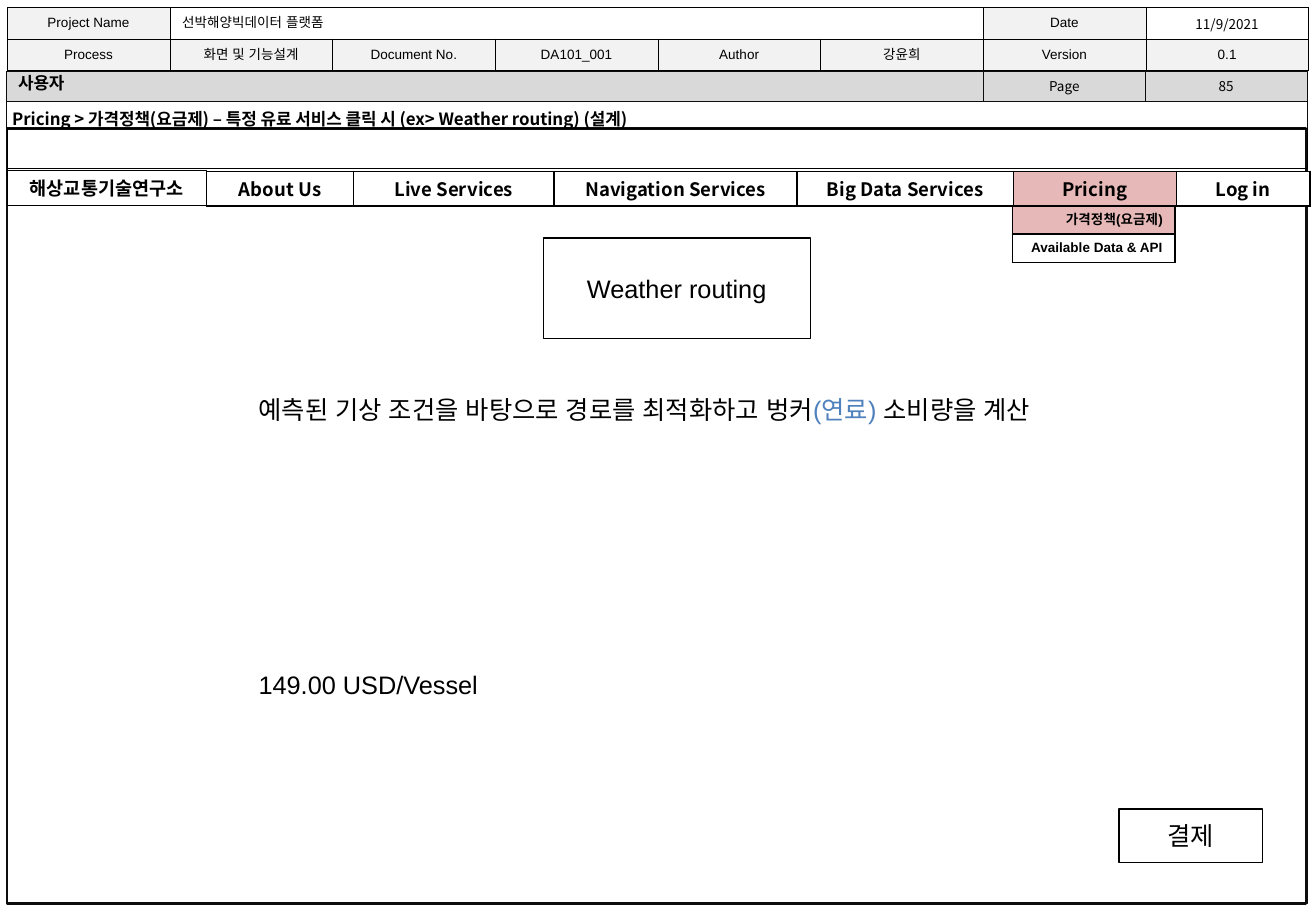
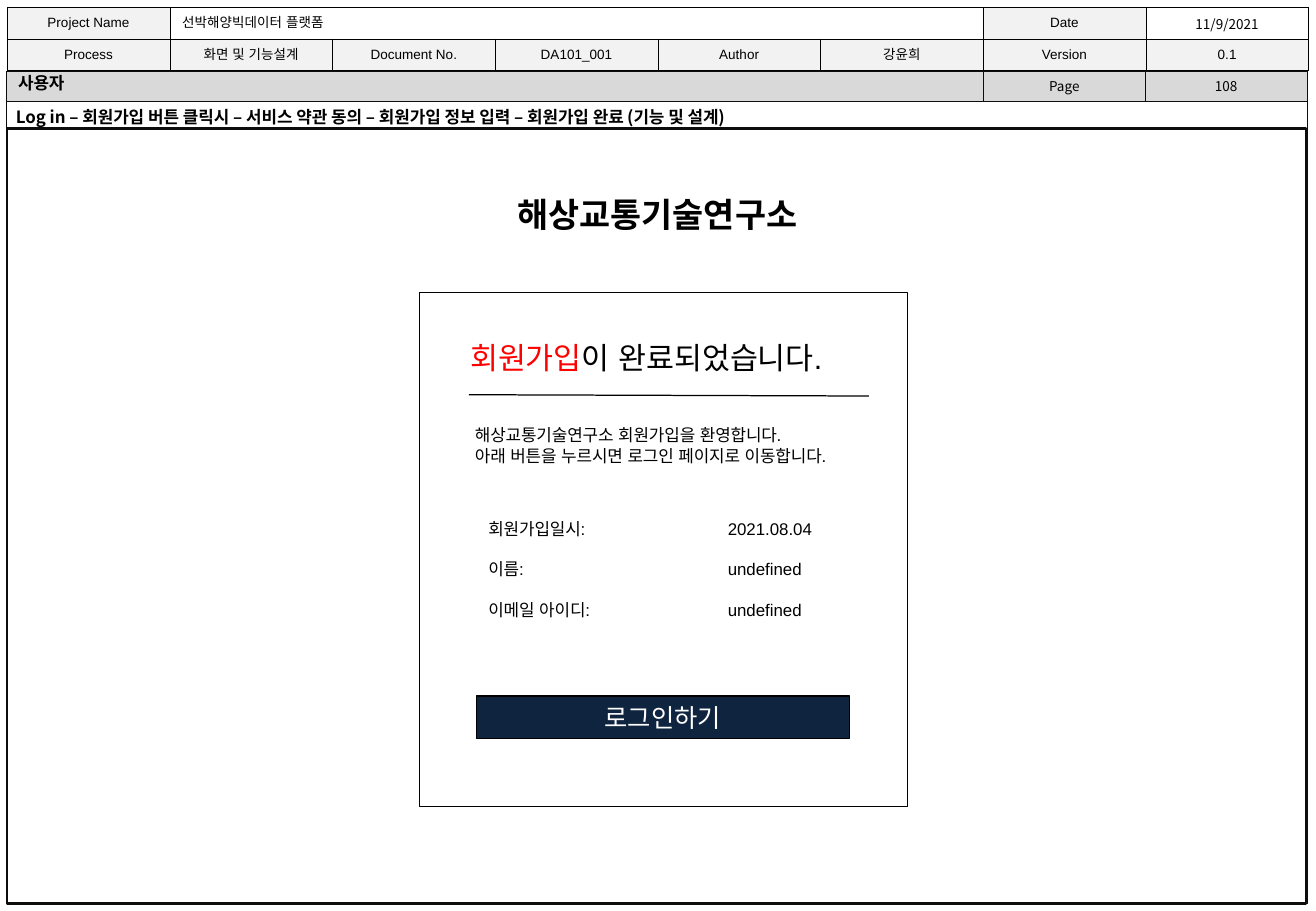
from dataclasses import dataclass
from lxml.etree import SubElement
from pptx import Presentation
from pptx.dml.color import RGBColor
from pptx.enum.shapes import MSO_CONNECTOR, MSO_SHAPE
from pptx.enum.text import MSO_ANCHOR, MSO_AUTO_SIZE, PP_ALIGN
from pptx.oxml.ns import qn
from pptx.util import Inches, Pt


@dataclass(frozen=True)
class Theme:
    ink: str = "000000"
    edge: str = "0D0D0D"
    paper: str = "FFFFFF"
    pale: str = "F2F2F2"
    band: str = "D9D9D9"
    rose: str = "E6B9B8"
    blue: str = "4F81BD"
    red: str = "FF0000"
    navy: str = "0F243E"
    sans: str = "Arial"
    noto: str = "Noto Sans CJK KR"
    tiny: int = 8
    small: int = 10
    menu: int = 11
    body: int = 15
    head: int = 18
    brand: int = 20


T = Theme()
LEFT, MID, RIGHT = PP_ALIGN.LEFT, PP_ALIGN.CENTER, PP_ALIGN.RIGHT

deck = Presentation()
deck.slide_width, deck.slide_height = Inches(10.83), Inches(7.5)
# Places are left, top, width and height in percent of the slide
UNIT = (deck.slide_width / 100, deck.slide_height / 100) * 2
COL = 12.36


def ink(frame, lines, size, font=T.sans, hue=T.ink, bold=False, align=LEFT, gap=0):
    """Write lines; a line is a string or a list of (text, colour) parts."""
    for i, line in enumerate(lines):
        para = frame.paragraphs[0] if i == 0 else frame.add_paragraph()
        para.alignment = align
        para.space_before = Pt(gap if i else 0)
        for text, tone in [(line, hue)] if isinstance(line, str) else line:
            run = para.add_run()
            run.text = text
            run.font.size, run.font.bold, run.font.name = Pt(size), bold, font
            run.font.color.rgb = RGBColor.from_string(tone)
            SubElement(run._r.get_or_add_rPr(), qn("a:ea"), typeface=font)


def box(slide, place, lines=(), size=T.body, fill=None, line=None, edge=T.ink,
        anchor=MSO_ANCHOR.MIDDLE, **style):
    """Add a rectangle, or a text box when there is neither fill nor line."""
    area = [int(n * u) for n, u in zip(place, UNIT)]
    if fill or line:
        shape = slide.shapes.add_shape(MSO_SHAPE.RECTANGLE, *area)
        shape.shadow.inherit = False
        shape.line.color.rgb = RGBColor.from_string(edge)
        shape.line.width = Pt(line)
        if fill:
            shape.fill.solid()
            shape.fill.fore_color.rgb = RGBColor.from_string(fill)
        else:
            shape.fill.background()
    else:
        shape = slide.shapes.add_textbox(*area)
    shape.text_frame.word_wrap = True
    shape.text_frame.vertical_anchor = anchor
    ink(shape.text_frame, lines, size, **style)
    return shape


layout = deck.slide_layouts[5]
for hold in list(layout.placeholders)[1:]:
    hold.element.getparent().remove(hold.element)
price, join = [deck.slides.add_slide(layout) for _ in range(2)]

# Shared frame, built once and moved to the layout
shell = [
    box(price, (0.46, 7.87, 98.9, 91.33), line=0.25, edge=T.edge),
    box(price, (0.46, 7.87, 98.9, 3.2), fill=T.band, line=0.25, edge=T.edge),
    box(price, (74.7, 7.87, COL, 3.2), ["Page"], T.tiny, T.band, 0.25, T.edge,
        font=T.noto, align=MID),
    box(price, (87, 7.87, COL, 3.2), fill=T.band, line=0.25, edge=T.edge),
    box(price, (0.55, 14.13, 98.7, 85.07), fill=T.paper, line=1.5, edge=T.edge),
]

# Tables: place, column widths, rows, tinted texts, tint, border, inset, style
project, date = "선박해양빅데이터 플랫폼", "11/9/2021"
info = [["Project Name", project, "", "", "", "", "Date", date],
        ["Process", "화면 및 기능설계", "Document No.", "DA101_001", "Author",
         "강윤희", "Version", "0.1"]]
tabs = [["About Us", "Live Services", "Navigation Services",
         "Big Data Services", "Pricing", "Log in"]]
drop = [["가격정책(요금제)"], ["Available Data & API"]]
special = {project: {"align": LEFT}, date: {"font": T.noto}}
made = []
for place, wide, rows, lit, tint, rule, inset, style in (
    ((0.55, 0.8, 8 * COL, 6.93), [COL] * 8, info,
     {*info[0], *info[1]} - {project, date, ""}, T.pale, 0.25, 0.04,
     dict(size=T.tiny, align=MID)),
    ((15.7, 18.8, 83.85, 3.8), [11.17, 15.24, 18.47, 16.44, 12.37, 10.16], tabs,
     {"Pricing"}, T.rose, 1, 0.02,
     dict(size=T.menu, font=T.noto, bold=True, align=MID)),
    ((76.92, 22.6, COL, 6.2), [COL], drop, {drop[0][0]}, T.rose, 1, 0.03,
     dict(size=T.tiny, bold=True, align=RIGHT)),
):
    area = [int(n * u) for n, u in zip(place, UNIT)]
    item = price.shapes.add_table(len(rows), len(wide), *area)
    made.append(item)
    for column, share in zip(item.table.columns, wide):
        column.width = int(share * UNIT[0])
    for r, row in enumerate(rows):
        for c, text in enumerate(row):
            cell = item.table.cell(r, c)
            cell.vertical_anchor = MSO_ANCHOR.MIDDLE
            cell.margin_top = cell.margin_bottom = Inches(inset)
            if text:
                ink(cell.text_frame, [text], **{**style, **special.get(text, {})})
            else:
                # An empty cell would otherwise stretch its row to 18 points
                SubElement(cell.text_frame.paragraphs[0]._p, qn("a:endParaRPr"),
                           sz=str(style["size"] * 100))
            props = cell._tc.get_or_add_tcPr()
            for side in ("a:lnL", "a:lnR", "a:lnT", "a:lnB"):
                line = SubElement(props, qn(side), w=str(Pt(rule)))
                paint = SubElement(line, qn("a:solidFill"))
                SubElement(paint, qn("a:srgbClr"), val=T.ink)
            cell.fill.solid()
            cell.fill.fore_color.rgb = RGBColor.from_string(
                tint if text in lit else T.paper)

head = made[0].table
head.cell(0, 1).merge(head.cell(0, 5))
for n, item in enumerate(shell + made[:1], 10):
    item.element.xpath(".//p:cNvPr")[0].set("id", str(n))
    layout.shapes.element.append(item.element)

# Title, page and section of each slide
for slide, page, place, title in (
    (price, "85", (0, 11.2, 82, 3.6),
     "Pricing > 가격정책(요금제) – 특정 유료 서비스 클릭 시 (ex> Weather routing) (설계)"),
    (join, "108", (0.28, 11.07, 64.45, 3.6),
     "Log in – 회원가입 버튼 클릭시 – 서비스 약관 동의 – 회원가입 정보 입력 – "
     "회원가입 완료 (기능 및 설계)"),
):
    name = slide.shapes.title
    name.left, name.top, name.width, name.height = [
        int(n * u) for n, u in zip(place, UNIT)]
    name.text_frame.word_wrap = True
    name.text_frame.auto_size = MSO_AUTO_SIZE.NONE
    name.text_frame.vertical_anchor = MSO_ANCHOR.TOP
    ink(name.text_frame, [title], T.small, T.noto, bold=True)
    box(slide, (87, 7.87, COL, 3.2), [page], T.tiny, font=T.noto, align=MID)
    box(slide, (0.46, 7.33, 13.94, 3.6), ["사용자"], T.small, font=T.noto, bold=True)

# Pricing page
brand = "해상교통기술연구소"
box(price, (0.55, 14.13, 98.8, 4.4), line=0.25)
box(price, (0.55, 18.67, 15.14, 3.87), [brand], T.menu, T.paper, 0.25,
    font=T.noto, bold=True, align=MID)
box(price, (41.27, 26.13, 20.31, 11.07), ["Weather routing"], fill=T.paper,
    line=0.75, align=MID)
offer = [("예측된 기상 조건을 바탕으로 경로를 최적화하고 벙커", T.ink),
         ("(연료) ", T.blue), ("소비량을 계산", T.ink)]
box(price, (18.74, 42.67, 66.2, 41.73), [offer, "149.00 USD/Vessel"],
    anchor=MSO_ANCHOR.TOP, gap=145)
box(price, (85.04, 88.8, 10.9, 5.87), ["결제"], fill=T.paper, line=0.75, align=MID)

# Sign-up page
box(join, (35.18, 20.53, 29.55, 5.87), [brand], T.brand, font=T.noto, bold=True,
    align=MID)
box(join, (31.86, 32.13, 37.12, 56.4), line=0.5)
rule = join.shapes.add_connector(
    MSO_CONNECTOR.STRAIGHT,
    *[int(n * u) for n, u in zip((35.64, 43.33, 66.02, 43.47), UNIT)])
rule.line.color.rgb = RGBColor.from_string(T.ink)
rule.line.width = Pt(0.75)
SubElement(rule.element.spPr, qn("a:effectLst"))
for place, lines, size, gap in (
    ((34.81, 36.53, 31.12, 9.47),
     [[("회원가입", T.red), ("이 완료되었습니다.", T.ink)]], T.head, 0),
    ((35.18, 46, 31.21, 5.87),
     [brand + " 회원가입을 환영합니다.",
      "아래 버튼을 누르시면 로그인 페이지로 이동합니다."], T.small, 0),
    ((36.2, 56.27, 18, 12.53), ["회원가입일시:", "이름:", "이메일 아이디:"], T.small, 12),
    ((54.39, 56.27, 11.63, 12.53), ["2021.08.04", "undefined", "undefined"],
     T.small, 12),
):
    box(join, place, lines, size, anchor=MSO_ANCHOR.TOP, gap=gap)
box(join, (36.2, 76.4, 28.35, 4.67), ["로그인하기"], fill=T.navy, line=0.75,
    hue=T.paper, align=MID)

deck.save("out.pptx")
